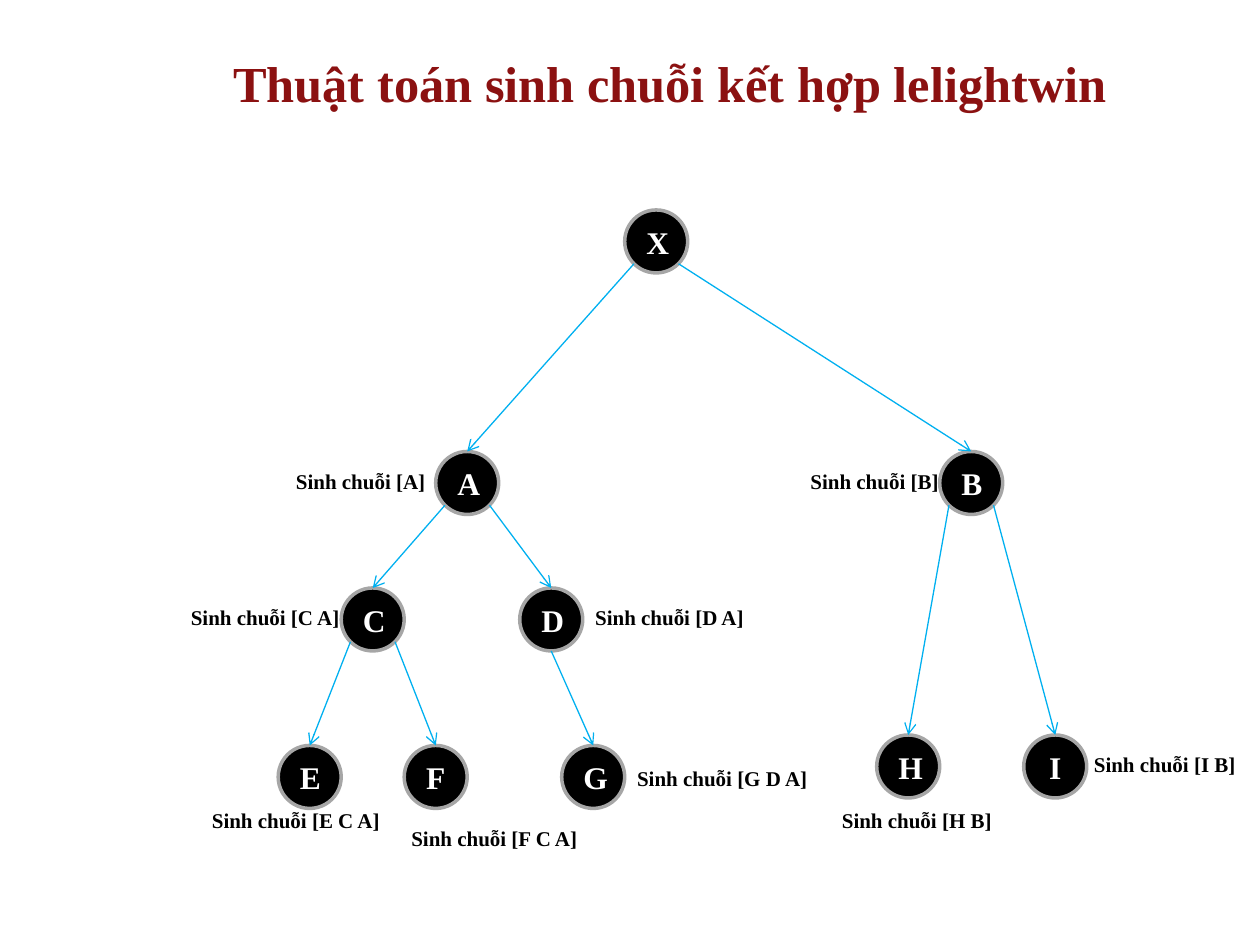
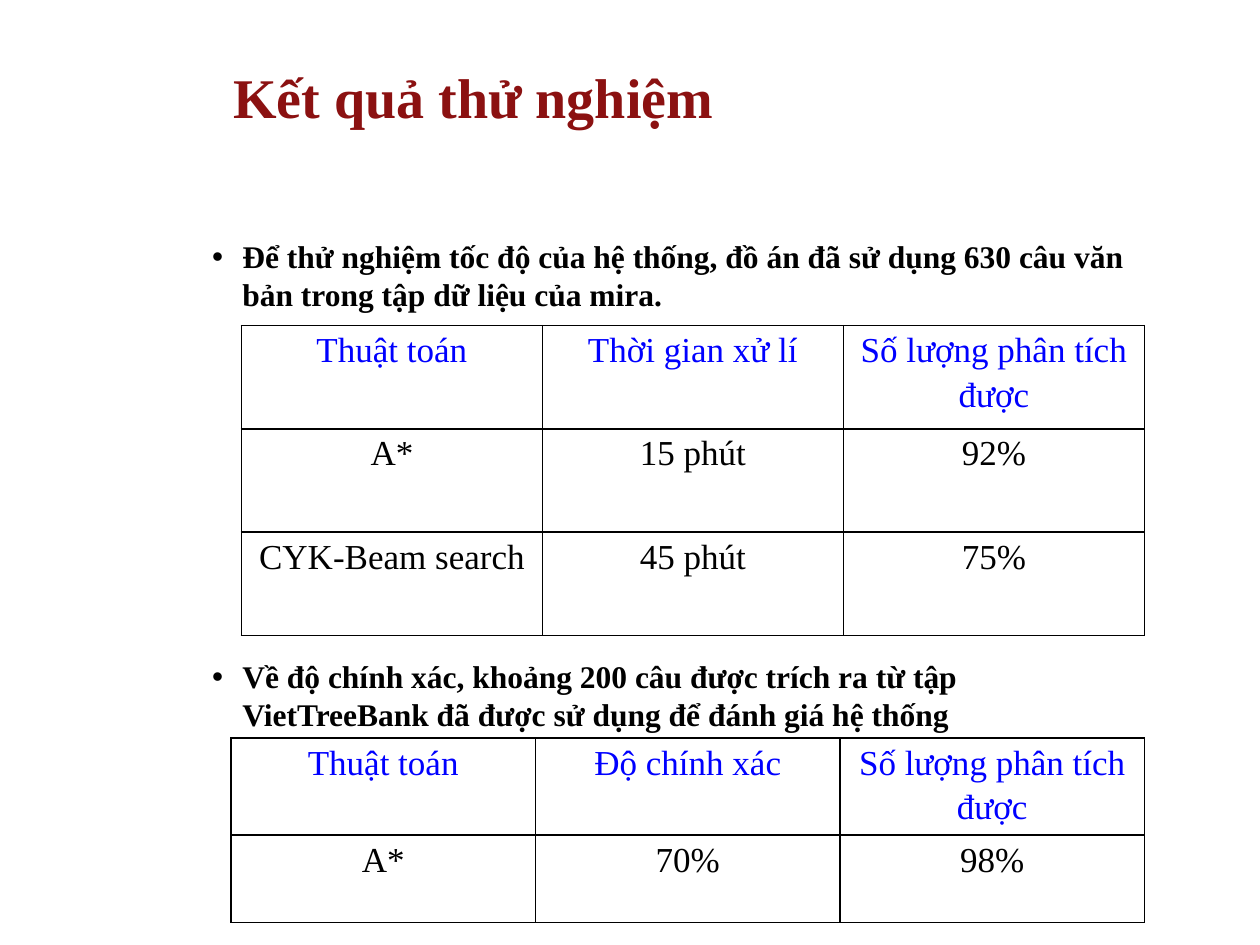
from math import cos, pi, sin

from lxml.etree import SubElement
from pptx import Presentation
from pptx.dml.color import RGBColor
from pptx.enum.shapes import MSO_CONNECTOR as Connector, MSO_SHAPE as Preset
from pptx.enum.text import MSO_ANCHOR as Anchor, MSO_AUTO_SIZE as AutoSize, PP_ALIGN as Align
from pptx.oxml.ns import qn
from pptx.util import Inches, Pt

FONT = "Times New Roman"
MAROON = RGBColor(0x8B, 0x11, 0x11)
BLACK = RGBColor(0, 0, 0)
WHITE = RGBColor(0xFF, 0xFF, 0xFF)
GREY = RGBColor(0xA6, 0xA6, 0xA6)
SKY = RGBColor(0x00, 0xB0, 0xF0)
BLUE = RGBColor(0, 0, 0xFF)

CELLS_PER_INCH = 24
RADIUS = 6
SITE_ANGLES = {"left": 0.75 * pi, "right": 0.25 * pi, "bottom": 0.5 * pi, "top": -0.5 * pi}

NODES = {
    "X": (125, 46), "A": (89, 92), "B": (185, 92),
    "C": (71, 118), "D": (105, 118),
    "E": (59, 148), "F": (83, 148), "G": (113, 148),
    "H": (173, 146), "I": (201, 146),
}
EDGES = [
    ("X", "left", "A"), ("X", "right", "B"), ("A", "left", "C"),
    ("A", "right", "D"), ("C", "left", "E"), ("C", "right", "F"),
    ("D", "bottom", "G"), ("B", "left", "H"), ("B", "right", "I"),
]
CHAINS = {
    "A": (54, 88), "B": (152, 88), "C A": (34, 114), "D A": (111, 114),
    "G D A": (119, 144.7), "E C A": (38, 152.7), "F C A": (76, 156),
    "H B": (158, 152.7), "I B": (206, 142),
}
CHAIN_WIDTHS = {1: 32, 2: 36, 3: 39}

SPEED_RESULTS = [
    ("Thuật toán", "Thời gian xử lí", "Số lượng phân tích được"),
    ("A*", "15 phút", "92%"),
    ("CYK-Beam search", "45 phút", "75%"),
]
ACCURACY_RESULTS = [
    ("Thuật toán", "Độ chính xác", "Số lượng phân tích được"),
    ("A*", "70%", "98%"),
]
SPEED_NOTE = ("Để thử nghiệm tốc độ của hệ thống, đồ án đã sử dụng 630 câu văn "
              "bản trong tập dữ liệu của mira.")
ACCURACY_NOTE = ("Về độ chính xác, khoảng 200 câu được trích ra từ tập "
                 "VietTreeBank đã được sử dụng để đánh giá hệ thống")


def grid(*cells):
    """Turn grid cells into slide lengths."""
    return [Inches(cell / CELLS_PER_INCH) for cell in cells]


def write(frame, text, size, color, bold=True, align=Align.LEFT):
    """Set one formatted paragraph and return it."""
    frame.text = text
    paragraph = frame.paragraphs[0]
    paragraph.alignment = align
    font = paragraph.runs[0].font
    font.name, font.size, font.bold = FONT, Pt(size), bold
    font.color.rgb = color
    return paragraph


def place(holder, left, top, width, height):
    """Move a placeholder to a box on the grid."""
    holder.left, holder.top, holder.width, holder.height = grid(left, top, width, height)


def add_title(slide, text, size, box):
    """Fill and place the slide title."""
    title = slide.shapes.title
    place(title, *box)
    frame = title.text_frame
    frame.auto_size, frame.vertical_anchor = AutoSize.NONE, Anchor.MIDDLE
    write(frame, text, size, MAROON)


def add_node(slide, letter, center):
    """Draw a tree node around its centre."""
    x, y = center
    node = slide.shapes.add_shape(
        Preset.OVAL, *grid(x - RADIUS, y - RADIUS, 2 * RADIUS, 2 * RADIUS))
    node.shadow.inherit = False
    node.fill.solid()
    node.fill.fore_color.rgb = BLACK
    node.line.color.rgb = GREY
    node.line.width = Pt(2)
    node.text_frame.vertical_anchor = Anchor.MIDDLE
    write(node.text_frame, letter, 18, WHITE, align=Align.CENTER)


def node_site(letter, side):
    """Find a connection point on the rim of a node."""
    x, y = NODES[letter]
    angle = SITE_ANGLES[side]
    return grid(x + RADIUS * cos(angle), y + RADIUS * sin(angle))


def add_edge(slide, parent, side, child):
    """Draw an arrow from a parent node to its child."""
    edge = slide.shapes.add_connector(
        Connector.STRAIGHT, *node_site(parent, side), *node_site(child, "top"))
    edge.line.color.rgb = SKY
    edge.line.width = Pt(0.75)
    SubElement(edge.line._get_or_add_ln(), qn("a:tailEnd"), type="arrow")
    SubElement(edge._element.spPr, qn("a:effectLst"))


def add_chain_label(slide, chain, corner):
    """Label a node with the chain it generates."""
    width = CHAIN_WIDTHS[len(chain.split())]
    label = slide.shapes.add_textbox(*grid(*corner, width, 7.2))
    label.text_frame.word_wrap = True
    write(label.text_frame, f"Sinh chuỗi [{chain}]", 12, BLACK)


def add_bullet(holder, text, box):
    """Fill a body placeholder with one bulleted statement."""
    place(holder, *box)
    holder.text_frame.auto_size = AutoSize.SHAPE_TO_FIT_TEXT
    paragraph = write(holder.text_frame, text, 18, BLACK)
    paragraph.space_before = Pt(0)
    properties = paragraph._p.get_or_add_pPr()
    indent = Inches(0.24)
    properties.set("marL", str(indent))
    properties.set("indent", str(-indent))
    SubElement(properties, qn("a:buFont"), typeface="Arial")
    SubElement(properties, qn("a:buChar"), char="•")


def style_cell(cell, text, color):
    """Write a result cell and rule its four sides."""
    cell.margin_left = cell.margin_right = Inches(0.07)
    cell.margin_top = cell.margin_bottom = 0
    paragraph = write(cell.text_frame, text, 20, color, bold=False, align=Align.CENTER)
    paragraph.line_spacing = 1.15
    properties = cell._tc.get_or_add_tcPr()
    for side in ("lnL", "lnR", "lnT", "lnB"):
        border = SubElement(properties, qn(f"a:{side}"), w=str(Pt(1)))
        fill = SubElement(border, qn("a:solidFill"))
        SubElement(fill, qn("a:srgbClr"), val=str(BLACK))
    cell.fill.background()


def add_results(slide, results, left, top, width, heights):
    """Add a table of results with equal columns and a blue header."""
    table = slide.shapes.add_table(
        len(results), len(results[0]), *grid(left, top, width, sum(heights))).table
    table.first_row = table.horz_banding = False
    for row, height in zip(table.rows, grid(*heights)):
        row.height = height
    for r, values in enumerate(results):
        for c, value in enumerate(values):
            style_cell(table.cell(r, c), value, BLACK if r else BLUE)


def build_tree(deck):
    """Build the slide with the chain generation tree."""
    slide = deck.slides.add_slide(deck.slide_layouts.get_by_name("Title Only"))
    add_title(slide, "Thuật toán sinh chuỗi kết hợp lelightwin", 28.8, (42, 7.2, 186, 16.8))
    for letter, center in NODES.items():
        add_node(slide, letter, center)
    for edge in EDGES:
        add_edge(slide, *edge)
    for chain, corner in CHAINS.items():
        add_chain_label(slide, chain, corner)


def build_results(deck):
    """Build the slide with the test results."""
    slide = deck.slides.add_slide(deck.slide_layouts.get_by_name("Two Content"))
    add_title(slide, "Kết quả thử nghiệm", 32, (42, 12, 160, 12.7))
    add_bullet(slide.placeholders[1], SPEED_NOTE, (38, 44, 184, 17))
    add_bullet(slide.placeholders[2], ACCURACY_NOTE, (38, 124, 182, 17))
    add_results(slide, SPEED_RESULTS, 46, 62, 172, [19.68] * 3)
    add_results(slide, ACCURACY_RESULTS, 44, 140.6, 174, [18.5, 16.6])


def main():
    """Build both slides and save the deck."""
    deck = Presentation()
    deck.slide_width, deck.slide_height = Inches(10), Inches(7.5)
    build_tree(deck)
    build_results(deck)
    deck.save("out.pptx")


if __name__ == "__main__":
    main()
